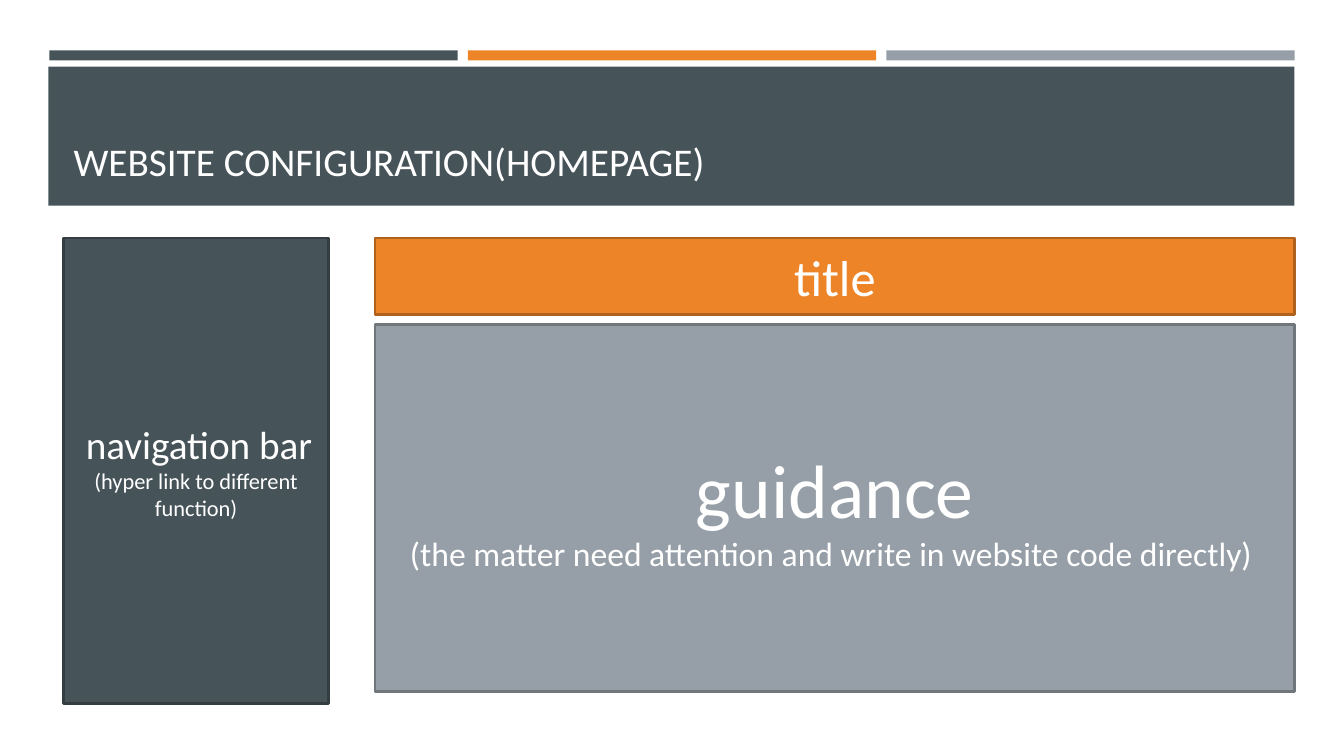
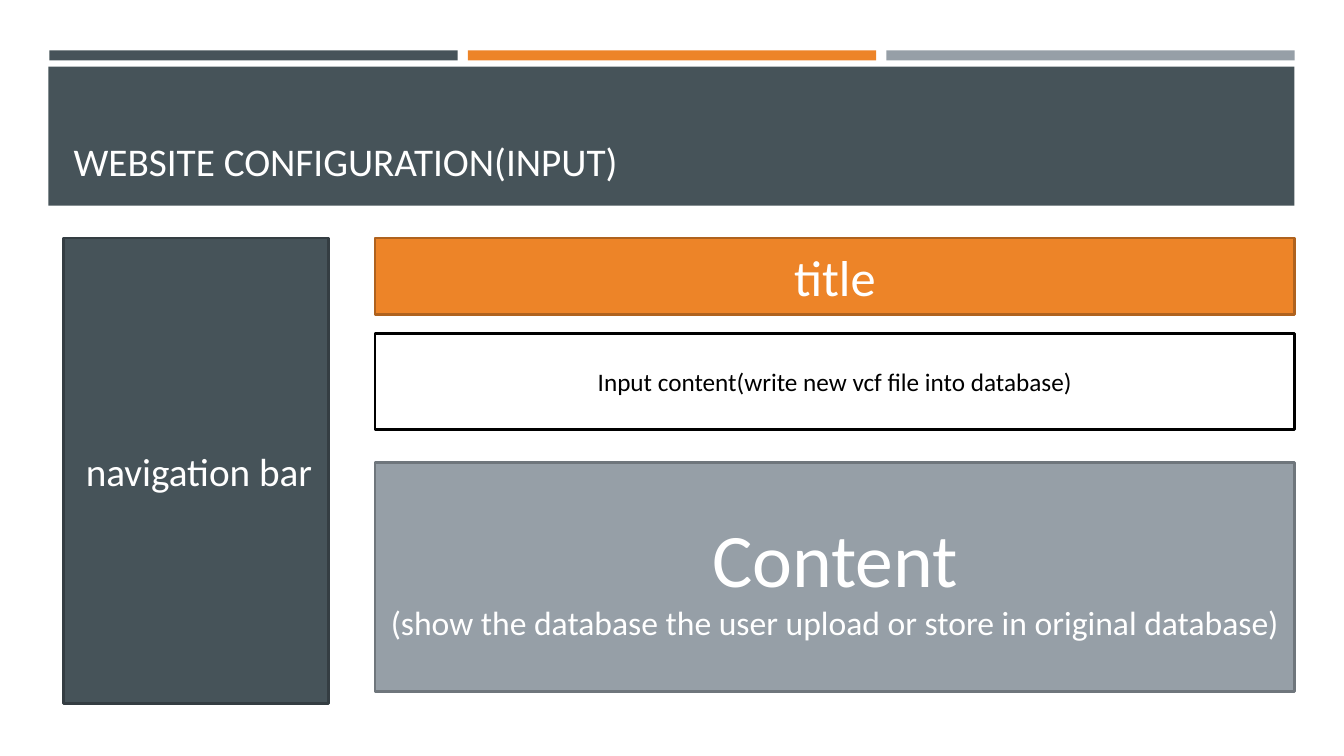
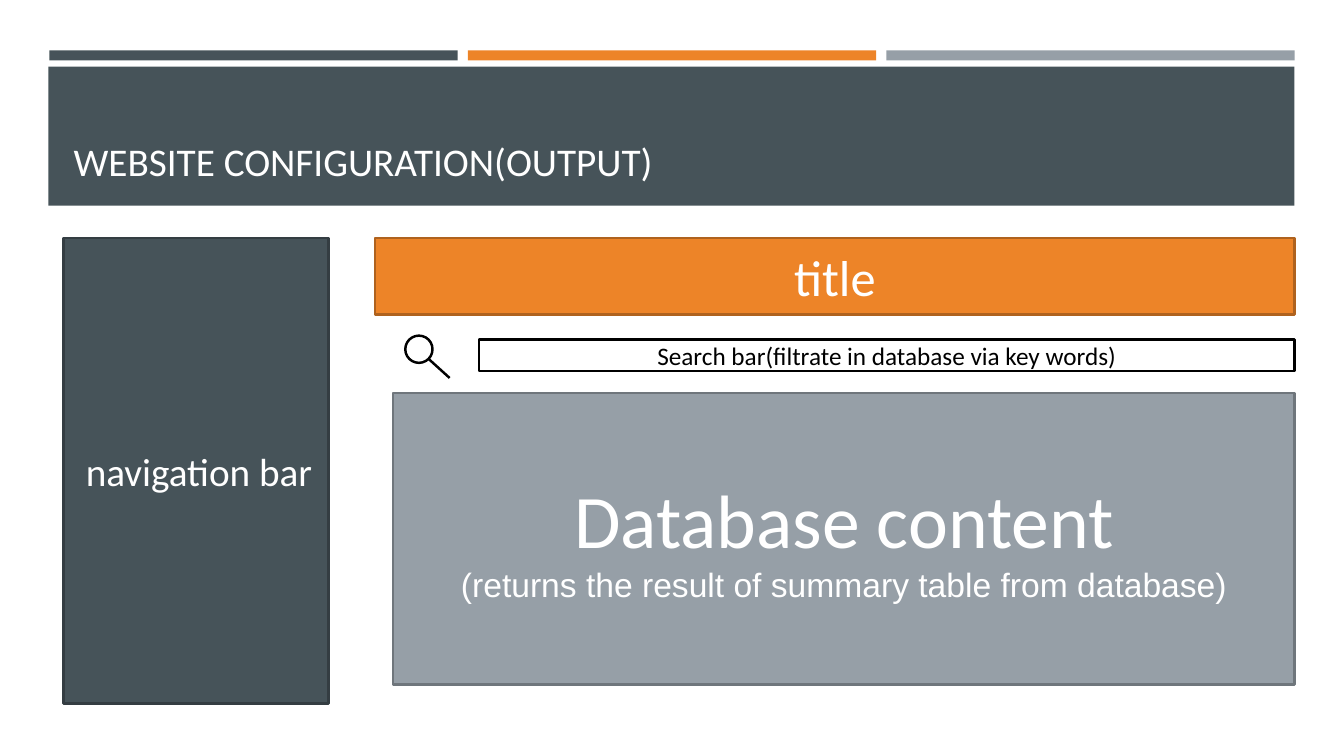
from dataclasses import dataclass

from pptx import Presentation
from pptx.dml.color import RGBColor
from pptx.enum.shapes import MSO_CONNECTOR, MSO_SHAPE
from pptx.enum.text import MSO_ANCHOR, MSO_AUTO_SIZE, PP_ALIGN
from pptx.oxml.ns import qn
from pptx.util import Inches, Pt
from lxml.etree import SubElement


@dataclass(frozen=True)
class Theme:
    font: str = "Calibri"
    result_font: str = "Arial"
    slate: str = "465359"
    slate_edge: str = "343D42"
    orange: str = "ED8428"
    orange_edge: str = "AF621E"
    gray: str = "969FA7"
    gray_edge: str = "6F767C"
    white: str = "FFFFFF"
    black: str = "000000"
    outline: float = 1.75
    headline: int = 54
    banner: int = 36
    heading: int = 28
    detail: int = 24
    body: int = 18
    note: int = 16


THEME = Theme()
SLATE_BOX = (THEME.slate, THEME.slate_edge, THEME.white)
ORANGE_BOX = (THEME.orange, THEME.orange_edge, THEME.white)
GRAY_BOX = (THEME.gray, THEME.gray_edge, THEME.white)
WHITE_BOX = (THEME.white, THEME.black, THEME.black)
COLUMN_LEFT = 3.72
COLUMN_RIGHT = 12.84
CONTENT_TOP = 2.36


def color(value):
    return RGBColor.from_string(value)


def add_run(paragraph, text, size, text_color, font=THEME.font):
    run = paragraph.add_run()
    run.text = text
    run.font.name = font
    run.font.size = Pt(size)
    run.font.color.rgb = color(text_color)


def add_figure(slide, preset, left, top, width, height, fill, edge=None):
    shape = slide.shapes.add_shape(
        preset, Inches(left), Inches(top), Inches(width), Inches(height))
    shape.shadow.inherit = False
    shape.fill.solid()
    shape.fill.fore_color.rgb = color(fill)
    if edge:
        shape.line.color.rgb = color(edge)
        shape.line.width = Pt(THEME.outline)
    else:
        shape.line.fill.background()
    return shape


def add_box(slide, left, top, width, height, style, lines):
    fill, edge, text_color = style
    shape = add_figure(slide, MSO_SHAPE.RECTANGLE, left, top, width, height, fill, edge)
    frame = shape.text_frame
    frame.word_wrap = True
    frame.vertical_anchor = MSO_ANCHOR.MIDDLE
    for index, runs in enumerate(lines):
        paragraph = frame.add_paragraph() if index else frame.paragraphs[0]
        paragraph.alignment = PP_ALIGN.CENTER
        for run in runs:
            add_run(paragraph, run[0], run[1], text_color, *run[2:])


def add_column_box(slide, top, height, style, lines, left=COLUMN_LEFT):
    add_box(slide, left, top, COLUMN_RIGHT - left, height, style, lines)


def add_line(slide, start_x, start_y, end_x, end_y):
    line = slide.shapes.add_connector(
        MSO_CONNECTOR.STRAIGHT,
        Inches(start_x), Inches(start_y), Inches(end_x), Inches(end_y))
    line.line.color.rgb = color(THEME.black)
    line.line.width = Pt(THEME.outline)
    SubElement(line.element.spPr, qn("a:effectLst"))


def add_search_icon(slide):
    add_figure(slide, MSO_SHAPE.OVAL, 4.02, 3.33, 0.27, 0.27, THEME.white, THEME.black)
    add_line(slide, 4.25, 3.56, 4.46, 3.75)


def add_layout_bands(layout, slide):
    for placeholder in list(layout.placeholders)[1:]:
        layout.shapes.element.remove(placeholder.element)
    bands = [
        add_figure(slide, MSO_SHAPE.RECTANGLE, 0.49 + 4.15 * index, 0.5, 4.05, 0.1, fill)
        for index, fill in enumerate((THEME.slate, THEME.orange, THEME.gray))
    ]
    bands.append(add_figure(
        slide, MSO_SHAPE.RECTANGLE, 0.48, 0.66, 12.36, 1.38, THEME.slate))
    for band in bands:
        layout.shapes.element.append(band.element)


def set_title(slide, text):
    title = slide.shapes.title
    title.left, title.top = Inches(0.63), Inches(0.8)
    title.width, title.height = Inches(12.06), Inches(1.08)
    frame = title.text_frame
    frame.word_wrap = True
    frame.auto_size = MSO_AUTO_SIZE.NONE
    frame.vertical_anchor = MSO_ANCHOR.BOTTOM
    paragraph = frame.paragraphs[0]
    paragraph.alignment = PP_ALIGN.LEFT
    add_run(paragraph, text, THEME.heading, THEME.white)


def add_page(presentation, layout, page_name, navigation_note=None):
    slide = presentation.slides.add_slide(layout)
    set_title(slide, f"WEBSITE CONFIGURATION({page_name})")
    add_column_box(slide, CONTENT_TOP, 0.76, ORANGE_BOX, [[("title", THEME.banner)]])
    navigation = [[(" ", THEME.body), ("navigation bar", THEME.heading)]]
    if navigation_note:
        navigation.append([(navigation_note, THEME.note)])
    add_box(slide, 0.63, CONTENT_TOP, 2.63, 4.62, SLATE_BOX, navigation)
    return slide


def add_content(slide, top, height, headline, detail, left=COLUMN_LEFT, font=THEME.font):
    lines = [[(headline, THEME.headline)], [(detail, THEME.detail, font)]]
    add_column_box(slide, top, height, GRAY_BOX, lines, left)


def add_field(slide, top, height, text, left=COLUMN_LEFT):
    add_column_box(slide, top, height, WHITE_BOX, [[(text, THEME.body)]], left)


def main():
    presentation = Presentation()
    presentation.slide_width = Inches(13.33)
    presentation.slide_height = Inches(7.5)
    layout = presentation.slide_layouts.get_by_name("Title Only")

    homepage = add_page(
        presentation, layout, "HOMEPAGE", "(hyper link to different function)")
    add_layout_bands(layout, homepage)
    add_content(homepage, 3.22, 3.64, "guidance",
                "(the matter need attention and write in website code directly) ")

    input_page = add_page(presentation, layout, "INPUT")
    add_content(input_page, 4.59, 2.27, "Content",
                "(show the database the user upload or store in original database)")
    add_field(input_page, 3.31, 0.95, "Input content(write new vcf file into database)")

    output_page = add_page(presentation, layout, "OUTPUT")
    add_field(output_page, 3.37, 0.31,
              "Search bar(filtrate in database via key words)", left=4.75)
    add_search_icon(output_page)
    add_content(output_page, 3.9, 2.89, "Database content",
                "(returns the result of summary table from database)",
                left=3.9, font=THEME.result_font)

    presentation.save("out.pptx")


main()
